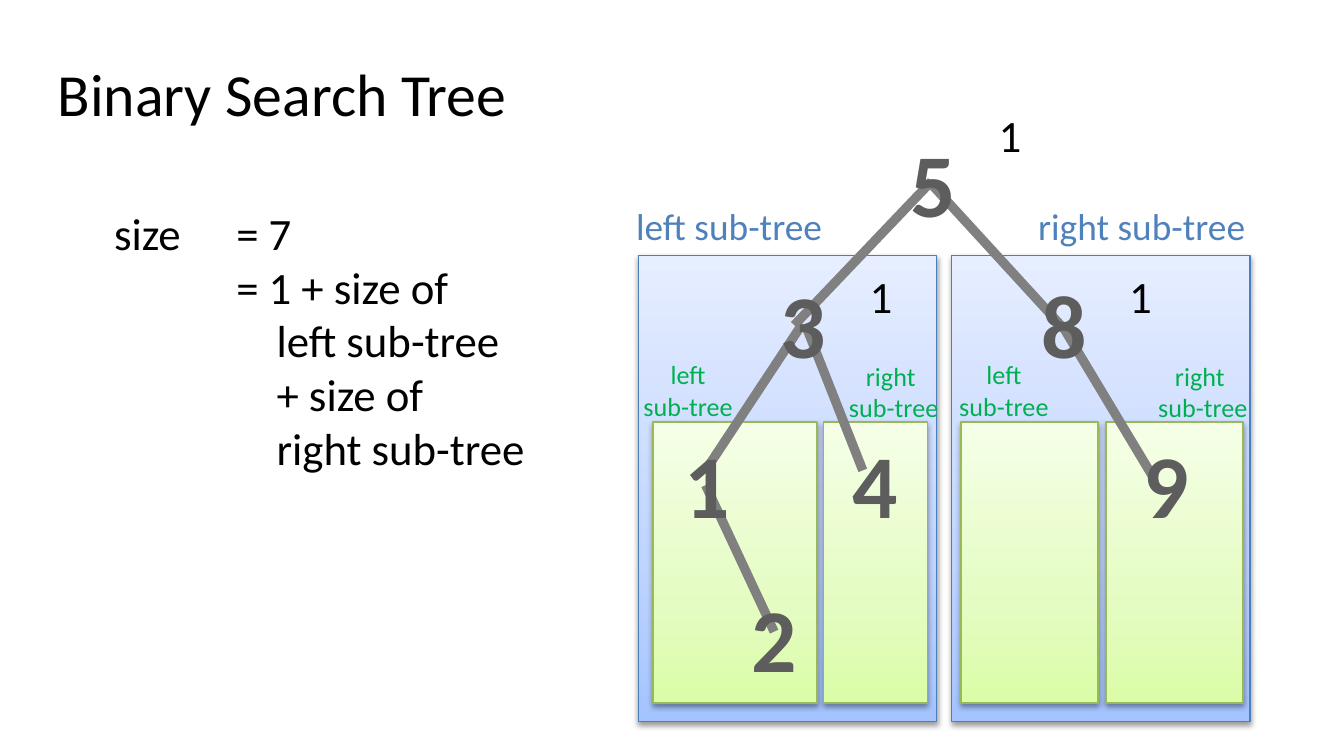
"""Build a slide that explains the size of a binary search tree."""
import copy

import lxml.etree
import pptx
import pptx.dml.color
import pptx.enum.shapes
import pptx.enum.text
import pptx.oxml.ns
import pptx.util

Inches = pptx.util.Inches
Pt = pptx.util.Pt
RGBColor = pptx.dml.color.RGBColor
ALIGN = pptx.enum.text.PP_ALIGN
qn = pptx.oxml.ns.qn

BLACK = RGBColor(0x00, 0x00, 0x00)
NODE_GRAY = RGBColor(0x5D, 0x5D, 0x5D)
EDGE_GRAY = RGBColor(0x80, 0x80, 0x80)
BLUE = RGBColor(0x4F, 0x81, 0xBD)
BLUE_LINE = RGBColor(0x4B, 0x7E, 0xBC)
GREEN = RGBColor(0x00, 0xB0, 0x50)
GREEN_LINE = RGBColor(0x98, 0xB9, 0x55)
BLUE_STOPS = [RGBColor(0xA4, 0xC4, 0xFF), RGBColor(0xBF, 0xD4, 0xFF), RGBColor(0xE6, 0xEE, 0xFF)]
GREEN_STOPS = [RGBColor(0xDA, 0xFD, 0xA7), RGBColor(0xE4, 0xFC, 0xC2), RGBColor(0xF5, 0xFF, 0xE7)]
STOP_POSITIONS = [0, 0.35, 1]

TITLE = "Binary Search Tree"
FORMULA = "= 7\n= 1 + size of \vleft sub-tree \v+ size of \vright sub-tree"
OUTER_LEFTS = [4.75, 7.08]
INNER_SPANS = [(4.86, 1.22), (6.13, 0.77), (7.15, 1.02), (8.23, 1.02)]
ROW_TOPS = [0.9, 1.95, 3.14, 4.29]
NODES = [("1", 4.99, 2), ("3", 5.71, 1), ("4", 6.24, 2), ("9", 8.41, 2),
         ("5", 6.67, 0), ("8", 7.65, 1), ("2", 5.49, 3)]
EDGES = [(5.25, 3.61, 5.76, 4.7), (6.93, 1.35, 5.91, 2.42), (5.99, 2.41, 6.42, 3.5),
         (6.93, 1.37, 7.92, 2.45), (7.92, 2.45, 8.58, 3.55), (5.97, 2.41, 5.25, 3.5)]
OUTER_LABELS = [("left sub-tree", 4.5), ("right sub-tree", 7.57)]
INNER_LABELS = [("right \vsub-tree", 6.2, 2.63), ("left\vsub-tree", 4.67, 2.62),
                ("right \vsub-tree", 8.5, 2.63), ("left\vsub-tree", 7.02, 2.62)]
COUNTS = [(7.25, 0.75), (6.29, 1.95), (8.22, 1.95)]


def add_text(slide, text, box, *, size, color=BLACK, bold=False, align=ALIGN.CENTER,
             wrap=True, hanging=0, shape=None):
    """Write text into a new text box or a given shape."""
    left, top, width, height = map(Inches, box)
    if shape is None:
        shape = slide.shapes.add_textbox(left, top, width, height)
    shape.left, shape.top, shape.width, shape.height = left, top, width, height
    frame = shape.text_frame
    frame.text = text
    frame.word_wrap = wrap
    frame.auto_size = pptx.enum.text.MSO_AUTO_SIZE.NONE
    frame.vertical_anchor = pptx.enum.text.MSO_ANCHOR.TOP
    for paragraph in frame.paragraphs:
        paragraph.alignment = align
        if hanging:
            properties = paragraph._p.get_or_add_pPr()
            properties.set("marL", str(Inches(hanging)))
            properties.set("indent", str(-Inches(hanging)))
        for run in paragraph.runs:
            run.font.name = "Calibri"
            run.font.size = Pt(size)
            run.font.bold = bold
            run.font.color.rgb = color


def add_panel(slide, box, colors, line_color):
    """Draw a rectangle with a vertical gradient and a soft shadow."""
    shape = slide.shapes.add_shape(pptx.enum.shapes.MSO_SHAPE.RECTANGLE, *map(Inches, box))
    shape.fill.gradient()
    shape.fill.gradient_angle = 90
    stop_list = shape._element.spPr.find(".//" + qn("a:gsLst"))
    stop_list.insert(1, copy.deepcopy(stop_list[0]))
    for stop, position, color in zip(shape.fill.gradient_stops, STOP_POSITIONS, colors):
        stop.position = position
        stop.color.rgb = color
    shape.line.color.rgb = line_color
    shape.line.width = Pt(0.75)
    shape.shadow.inherit = False
    effects = shape._element.spPr.find(qn("a:effectLst"))
    shadow = lxml.etree.SubElement(effects, qn("a:outerShdw"), blurRad=str(Pt(3.1)),
                                   dist=str(Pt(1.6)), dir="5400000", rotWithShape="0")
    color = lxml.etree.SubElement(shadow, qn("a:srgbClr"), val="000000")
    lxml.etree.SubElement(color, qn("a:alpha"), val="38000")


def add_edge(slide, ends):
    """Draw a thick gray line between two tree nodes."""
    edge = slide.shapes.add_connector(pptx.enum.shapes.MSO_CONNECTOR.STRAIGHT, *map(Inches, ends))
    edge.line.color.rgb = EDGE_GRAY
    edge.line.width = Pt(5)
    lxml.etree.SubElement(edge._element.spPr, qn("a:effectLst"))


def main():
    """Build and save the presentation."""
    presentation = pptx.Presentation()
    presentation.slide_width = Inches(10)
    presentation.slide_height = Inches(10) * 9 // 16
    slide = presentation.slides.add_slide(presentation.slide_layouts[5])
    add_text(slide, TITLE, (0.33, 0.37, 4, 0.64), size=32, align=ALIGN.LEFT,
             shape=slide.shapes.title)
    for left in OUTER_LEFTS:
        add_panel(slide, (left, 1.9, 2.22, 3.47), BLUE_STOPS, BLUE_LINE)
    for left, width in INNER_SPANS:
        add_panel(slide, (left, 3.14, width, 2.09), GREEN_STOPS, GREEN_LINE)
    for ends in EDGES:
        add_edge(slide, ends)
    for value, left, row in NODES:
        add_text(slide, value, (left, ROW_TOPS[row], 0.54, 0.91), size=48,
                 color=NODE_GRAY, bold=True, wrap=False)
    for label, left in OUTER_LABELS:
        add_text(slide, label, (left, 1.46, 1.85, 0.44), size=20, color=BLUE)
    for label, left, top in INNER_LABELS:
        add_text(slide, label, (left, top, 0.9, 0.57), size=14, color=GREEN)
    add_text(slide, FORMULA, (1.66, 1.48, 2.83, 2.12), size=24, align=ALIGN.LEFT, hanging=0.3)
    add_text(slide, "size", (0.75, 1.48, 0.92, 0.5), size=24, align=ALIGN.LEFT)
    for left, top in COUNTS:
        add_text(slide, "1", (left, top, 0.53, 0.5), size=24)
    presentation.save("out.pptx")


if __name__ == "__main__":
    main()
